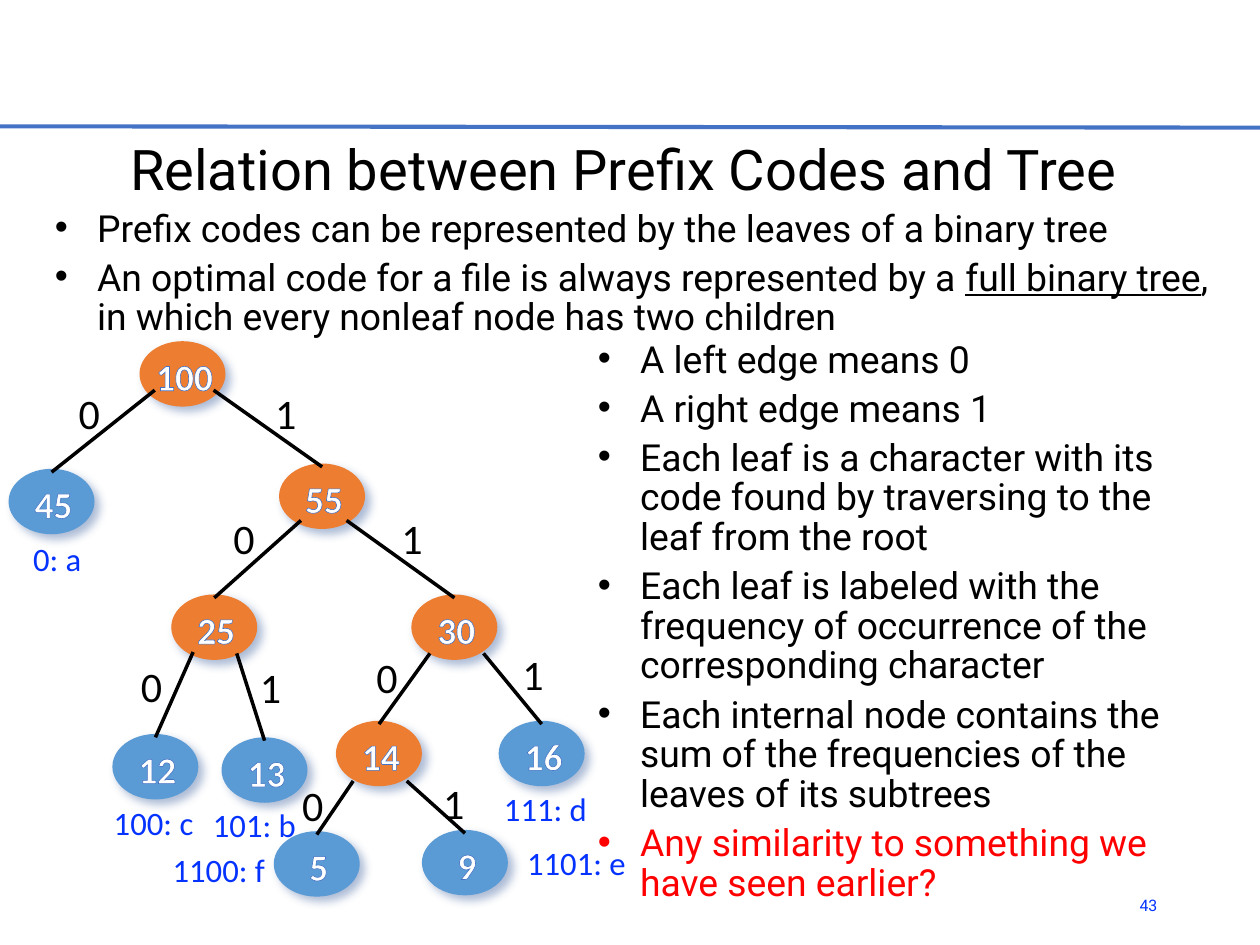
"""Build the slide on prefix codes and their binary tree."""
from lxml import etree
from pptx import Presentation
from pptx.dml.color import RGBColor
from pptx.enum import shapes as kinds, text as txt
from pptx.oxml import ns
from pptx.util import Cm, Pt


class Theme:
    black, white, red = "000000", "FFFFFF", "FF0000"
    blue, rule, shade = "0432FF", "4472C4", "2F5597"
    inner, leaf = "ED7D31", "5B9BD5"
    body, tree = "Roboto", "Calibri"
    title, main, node, bit, code, page = 24, 16, 16, 18, 14, 6.8


def say(frame, words, size=Theme.main, color=Theme.black, font=Theme.body,
        bold=False, align=None, bullet=False, edge=None):
    """Add a paragraph; words between underscores are underlined."""
    first = not frame.text
    para = frame.paragraphs[0] if first else frame.add_paragraph()
    para.alignment = align
    if bullet:
        para.line_spacing = Pt(17)
        para.space_after = Pt(2)
        if not first:
            para.space_before = Pt(2)
        props = para._p.get_or_add_pPr()
        props.set("marL", str(Cm(0.64)))
        props.set("indent", str(-Cm(0.64)))
        etree.SubElement(props, ns.qn("a:buFont")).set("typeface", "Arial")
        etree.SubElement(props, ns.qn("a:buChar")).set("char", "•")
    for i, part in enumerate(words.split("_")):
        run = para.add_run()
        run.text = part
        run.font.size = Pt(size)
        run.font.name = font
        run.font.bold = bold
        run.font.underline = i % 2 == 1
        run.font.color.rgb = RGBColor.from_string(color)
        if edge:
            line = etree.Element(ns.qn("a:ln"), w=str(Pt(0.8)))
            fill = etree.SubElement(line, ns.qn("a:solidFill"))
            etree.SubElement(fill, ns.qn("a:srgbClr"), val=edge)
            run._r.get_or_add_rPr().insert(0, line)


def link(x1, y1, x2, y2, color, width):
    """Draw a plain straight line."""
    line = slide.shapes.add_connector(
        kinds.MSO_CONNECTOR.STRAIGHT, Cm(x1), Cm(y1), Cm(x2), Cm(y2))
    line.line.color.rgb = RGBColor.from_string(color)
    line.line.width = Pt(width)
    etree.SubElement(line._element.spPr, ns.qn("a:effectLst"))


deck = Presentation()
deck.slide_width, deck.slide_height = Cm(19.05), Cm(14.29)
slide = deck.slides.add_slide(deck.slide_layouts[6])

link(0, 1.91, 19.05, 1.93, Theme.rule, 1.75)

page = slide.shapes.add_textbox(Cm(16.81), Cm(13.31), Cm(0.94), Cm(0.76)).text_frame
page.word_wrap = True
page.vertical_anchor = txt.MSO_ANCHOR.MIDDLE
say(page, "43", size=Theme.page, color=Theme.blue, align=txt.PP_ALIGN.RIGHT)

title = slide.shapes.add_textbox(Cm(0.61), Cm(2.01), Cm(17.63), Cm(1.04)).text_frame
title.word_wrap = True
title.vertical_anchor = txt.MSO_ANCHOR.MIDDLE
title.margin_left = title.margin_right = title.margin_bottom = 0
title.margin_top = Cm(0.03)
say(title, "Relation between Prefix Codes and Tree", size=Theme.title,
    align=txt.PP_ALIGN.CENTER)

lists = [
    ((0.58, 3.05, 18.19, 2.16), [
        ("Prefix codes can be represented by the leaves of a binary tree", Theme.black),
        ("An optimal code for a file is always represented by a _full binary tree_, "
         "in which every nonleaf node has two children", Theme.black),
    ]),
    ((8.79, 5.03, 9.78, 8.05), [
        ("A left edge means 0", Theme.black),
        ("A right edge means 1", Theme.black),
        ("Each leaf is a character with its code found by traversing to the leaf "
         "from the root", Theme.black),
        ("Each leaf is labeled with the frequency of occurrence of the "
         "corresponding character", Theme.black),
        ("Each internal node contains the sum of the frequencies of the leaves "
         "of its subtrees", Theme.black),
        ("Any similarity to something we have seen earlier?", Theme.red),
    ]),
]
for place, points in lists:
    frame = slide.shapes.add_textbox(*map(Cm, place)).text_frame
    frame.word_wrap = True
    for words, color in points:
        say(frame, words, color=color, bullet=True)

wide, high = 1.3, 0.99
nodes = {
    "100": (2.11, 5.16), "45": (0.13, 7.09), "55": (4.22, 7.01),
    "25": (2.59, 8.99), "30": (6.22, 8.99), "12": (1.7, 11.1),
    "13": (3.35, 11.15), "14": (5.08, 10.9), "16": (7.54, 10.9),
    "5": (4.14, 12.57), "9": (6.38, 12.55),
}
edges = [
    ("100", "45", -0.42, 0.74, 0.94, 5.74), ("100", "55", 0.47, 0.74, 3.91, 5.74),
    ("55", "25", -0.32, 0.86, 3.28, 7.62), ("55", "30", 0.37, 0.86, 5.82, 7.62),
    ("25", "12", -0.32, 0.87, 1.88, 9.86), ("25", "13", 0.34, 0.89, 3.68, 9.88),
    ("30", "14", -0.37, 0.89, 5.44, 9.73), ("30", "16", 0.44, 0.89, 7.65, 9.68),
    ("14", "5", -0.39, 0.91, 4.32, 11.66), ("14", "9", 0.42, 0.91, 6.45, 11.63),
]
codes = [
    ("0: a", 0.25, 8.03, 1.24), ("100: c", 1.47, 12.01, 1.73),
    ("101: b", 2.97, 12.04, 1.78), ("1100: f", 2.36, 12.73, 1.93),
    ("1101: e", 7.72, 12.62, 2.03), ("111: d", 7.37, 11.81, 1.78),
]

roots = {edge[0] for edge in edges}
for name, (x, y) in nodes.items():
    oval = slide.shapes.add_shape(
        kinds.MSO_SHAPE.OVAL, Cm(x), Cm(y), Cm(wide), Cm(high))
    oval.fill.solid()
    oval.fill.fore_color.rgb = RGBColor.from_string(
        Theme.inner if name in roots else Theme.leaf)
    oval.line.fill.background()
    oval.shadow.inherit = False
    glow = etree.SubElement(
        oval._element.spPr.find(ns.qn("a:effectLst")), ns.qn("a:outerShdw"),
        blurRad=str(Pt(4)), dist=str(Pt(3)), dir="2700000", rotWithShape="0")
    tint = etree.SubElement(glow, ns.qn("a:srgbClr"), val=Theme.shade)
    etree.SubElement(tint, ns.qn("a:alpha"), val="40000")
    frame = oval.text_frame
    frame.word_wrap = False
    frame.vertical_anchor = txt.MSO_ANCHOR.MIDDLE
    frame.margin_right = frame.margin_bottom = 0
    frame.margin_left = frame.margin_top = Cm(0.06)
    say(frame, name, size=Theme.node, color=Theme.white, font=Theme.tree,
        bold=True, align=txt.PP_ALIGN.CENTER, edge=Theme.rule)

for top, end, dx, dy, x, y in edges:
    (px, py), (cx, cy) = nodes[top], nodes[end]
    link(px + wide / 2 + dx, py + dy, cx + wide / 2, cy + 0.05, Theme.black, 1.5)
    frame = slide.shapes.add_textbox(Cm(x), Cm(y), Cm(0.84), Cm(1.02)).text_frame
    frame.word_wrap = False
    say(frame, "0" if dx < 0 else "1", size=Theme.bit, font=Theme.tree)

for words, x, y, width in codes:
    frame = slide.shapes.add_textbox(Cm(x), Cm(y), Cm(width), Cm(0.86)).text_frame
    frame.word_wrap = False
    say(frame, words, size=Theme.code, color=Theme.blue, font=Theme.tree)

deck.save("out.pptx")
